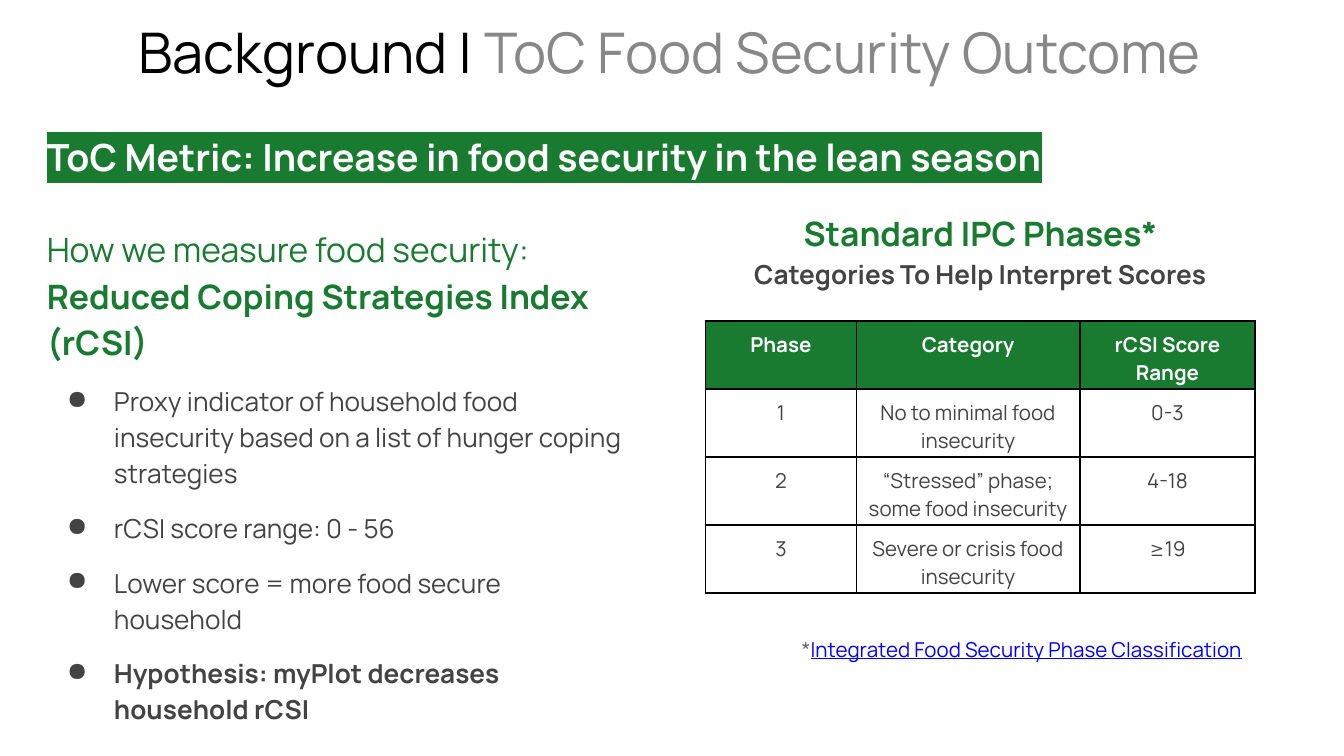
from lxml.etree import SubElement
from pptx import Presentation
from pptx.dml.color import RGBColor
from pptx.enum.text import PP_ALIGN as Align
from pptx.oxml import parse_xml
from pptx.oxml.ns import nsdecls, qn
from pptx.util import Pt

COLORS = {
    "black": "000000", "white": "FFFFFF", "grey": "888888", "green": "197B30",
    "body": "434343", "note": "666666", "link": "0000FF",
}


class Deck:
    """Holds the style and the current slide, and adds each kind of element."""

    font = "Manrope"

    def __init__(self, width, height):
        self.file = Presentation()
        self.file.slide_width, self.file.slide_height = Pt(width), Pt(height)
        self.slide = self.file.slides.add_slide(self.file.slide_layouts[6])

    def style(self, run, size, color, bold=False, underline=None, highlight=None):
        run.font.name, run.font.size = self.font, Pt(size)
        run.font.bold, run.font.underline = bold, underline
        run.font.color.rgb = RGBColor.from_string(COLORS[color])
        if highlight:
            run.font._element.find(qn("a:latin")).addprevious(parse_xml(
                f'<a:highlight {nsdecls("a")}><a:srgbClr val="{COLORS[highlight]}"/></a:highlight>'))

    def text(self, left, top, width, height, paragraphs):
        frame = self.slide.shapes.add_textbox(Pt(left), Pt(top), Pt(width), Pt(height)).text_frame
        frame.word_wrap = True
        frame.margin_left = frame.margin_right = frame.margin_top = frame.margin_bottom = Pt(7.2)
        for index, options in enumerate(paragraphs):
            paragraph = frame.add_paragraph() if index else frame.paragraphs[0]
            self.fill_paragraph(paragraph, **options)

    def fill_paragraph(self, paragraph, runs, align=Align.LEFT, spacing=1.15, before=0, bullet=False):
        paragraph.alignment, paragraph.line_spacing = align, spacing
        paragraph.space_before = Pt(before)
        for words, look in runs:
            run = paragraph.add_run()
            run.text = words
            self.style(run, **look)
        if bullet:
            properties = paragraph._p.get_or_add_pPr()
            properties.set("marL", str(Pt(36)))
            properties.set("indent", str(-Pt(25.2)))
            bullet_color = SubElement(properties, qn("a:buClr"))
            SubElement(bullet_color, qn("a:srgbClr"), val=COLORS["body"])
            SubElement(properties, qn("a:buChar"), char="●")

    def table(self, left, top, widths, row_height, rows):
        grid = self.slide.shapes.add_table(
            len(rows), len(widths), Pt(left), Pt(top), Pt(sum(widths)), Pt(row_height * len(rows))).table
        for column, width in zip(grid.columns, widths):
            column.width = Pt(width)
        for row_index, row in enumerate(rows):
            grid.rows[row_index].height = Pt(row_height)
            for column_index, words in enumerate(row):
                self.cell(grid.cell(row_index, column_index), words, header=row_index == 0)

    def cell(self, cell, words, header):
        cell.margin_left = cell.margin_right = cell.margin_top = Pt(5)
        cell.margin_bottom = Pt(0)
        cell.text_frame.text = words
        paragraph = cell.text_frame.paragraphs[0]
        paragraph.alignment = Align.CENTER
        self.style(paragraph.runs[0], 11, "white" if header else "body", bold=header)
        if header:
            cell.fill.solid()
            cell.fill.fore_color.rgb = RGBColor.from_string(COLORS["green"])
        else:
            cell.fill.background()
        for position, side in enumerate("LRTB"):
            cell._tc.get_or_add_tcPr().insert(position, parse_xml(
                f'<a:ln{side} {nsdecls("a")} w="{Pt(1)}"><a:solidFill>'
                f'<a:srgbClr val="{COLORS["black"]}"/></a:solidFill></a:ln{side}>'))


def main():
    deck = Deck(720, 405)
    deck.text(67, 6.5, 653, 47.5, [{"spacing": 0.9, "runs": [
        ("Background | ", {"size": 30, "color": "black"}),
        ("ToC Food Security Outcome", {"size": 30, "color": "grey"}),
    ]}])
    deck.text(18, 61.2, 556, 39, [{"runs": [
        ("ToC Metric: Increase in food security in the lean season",
         {"size": 20, "color": "white", "bold": True, "highlight": "green"}),
    ]}])
    deck.text(378, 103.7, 294.5, 63.4, [
        {"align": Align.CENTER, "before": 10, "runs": [
            ("Standard IPC Phases*", {"size": 18, "color": "green", "bold": True})]},
        {"align": Align.CENTER, "runs": [
            ("Categories To Help Interpret Scores", {"size": 14, "color": "body", "bold": True})]},
    ])
    deck.table(378, 172, [80.8, 119.7, 94], 36.4, [
        ("Phase", "Category", "rCSI Score Range"),
        ("1", "No to minimal food insecurity", "0-3"),
        ("2", "“Stressed” phase; some food insecurity", "4-18"),
        ("3", "Severe or crisis food insecurity", "≥19"),
    ])
    deck.text(378, 332, 294.5, 32, [{"align": Align.RIGHT, "runs": [
        ("*", {"size": 11, "color": "note"}),
        ("Integrated Food Security Phase Classification",
         {"size": 11, "color": "link", "underline": True}),
    ]}])
    measures = [
        ("Proxy indicator of household food insecurity based on a list of hunger coping strategies", False),
        ("rCSI score range: 0 - 56", False),
        ("Lower score = more food secure household", False),
        ("Hypothesis: myPlot decreases household rCSI", True),
    ]
    heading = {"runs": [
        ("How we measure food security: ", {"size": 18, "color": "green"}),
        ("Reduced Coping Strategies Index (rCSI)", {"size": 18, "color": "green", "bold": True}),
    ]}
    deck.text(18, 112.3, 324, 283.7, [heading] + [
        {"before": 10, "bullet": True, "runs": [(words, {"size": 14, "color": "body", "bold": bold})]}
        for words, bold in measures
    ])
    deck.file.save("out.pptx")


if __name__ == "__main__":
    main()
